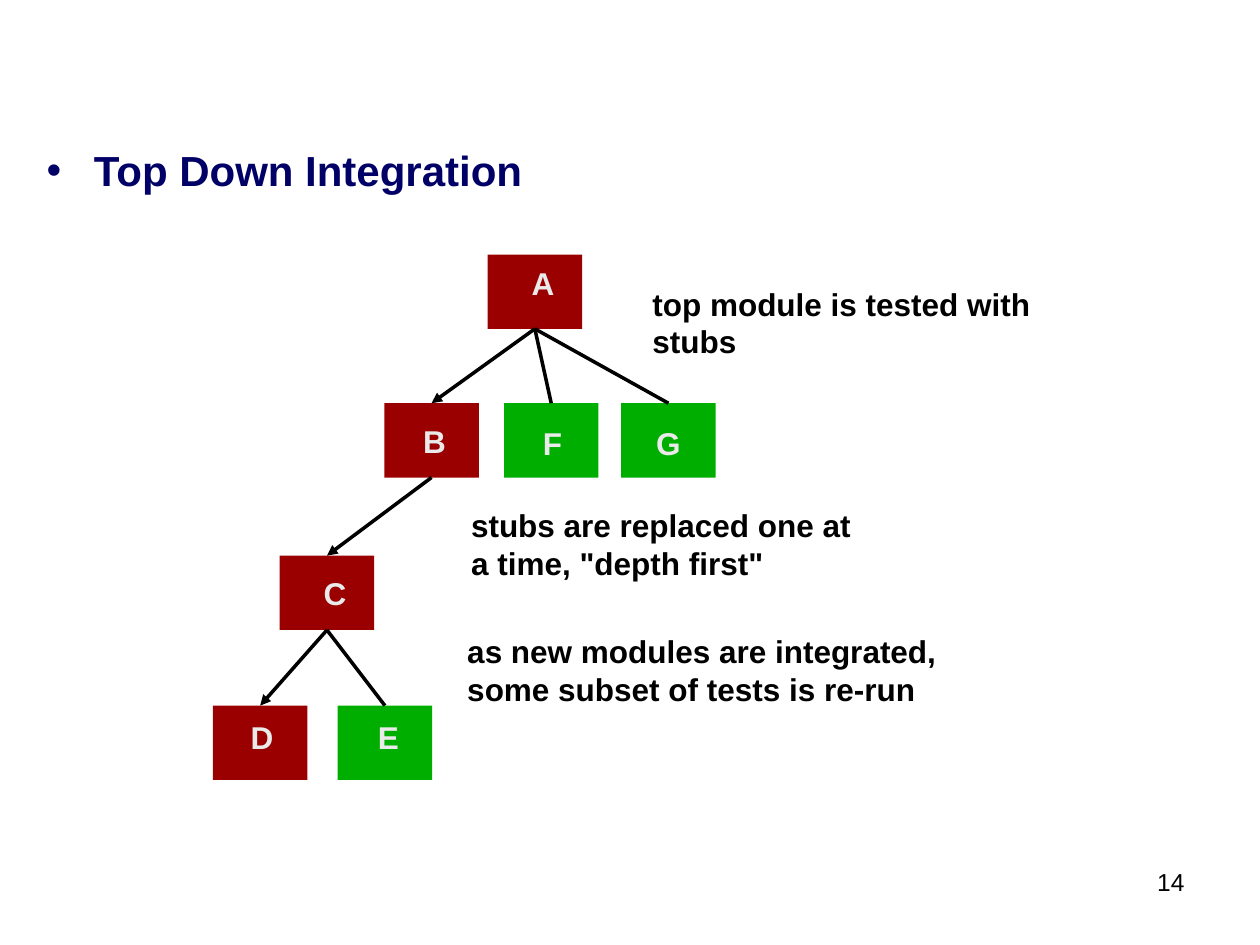
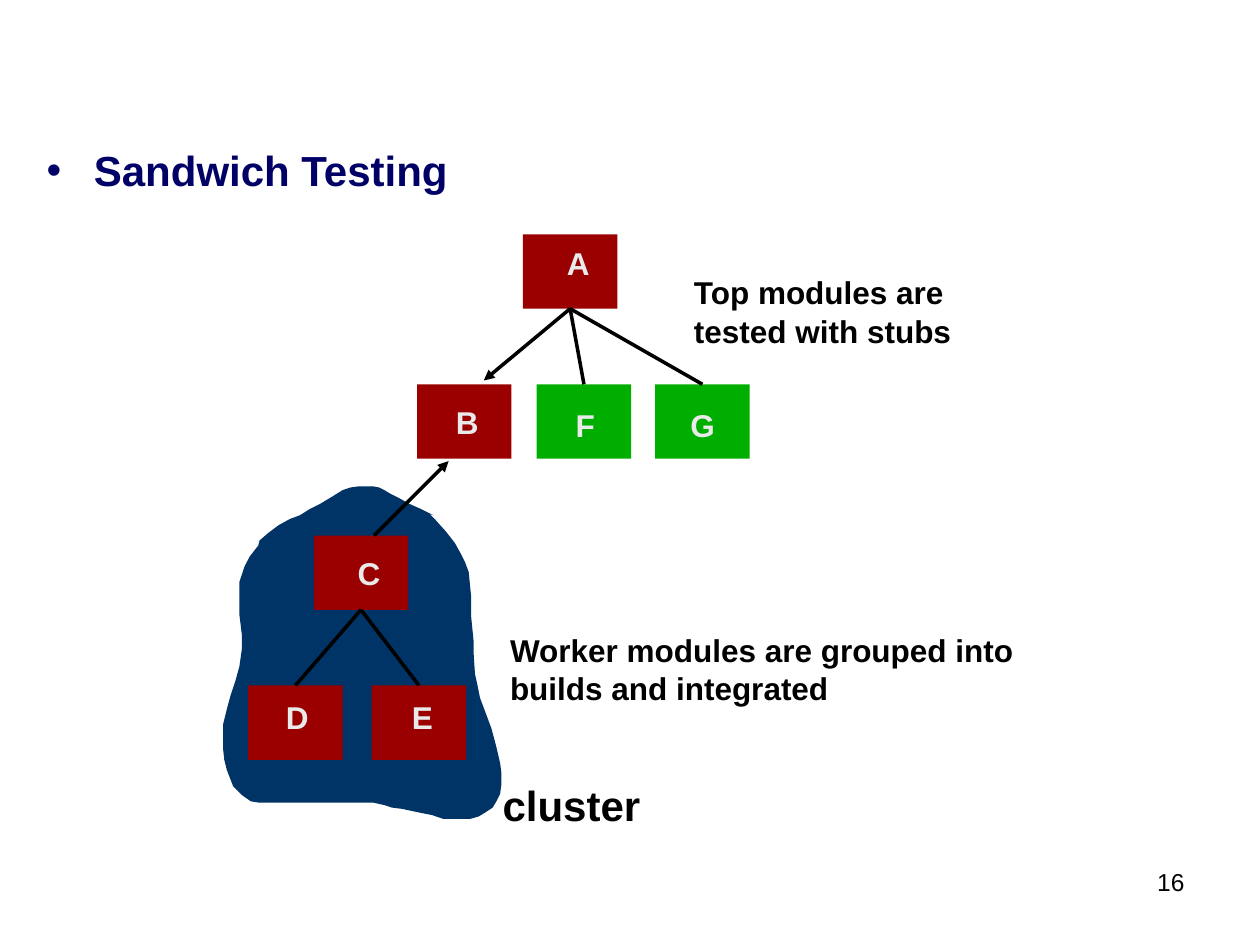
from lxml.etree import SubElement
from pptx import Presentation
from pptx.dml.color import RGBColor
from pptx.enum.shapes import MSO_CONNECTOR, MSO_SHAPE
from pptx.enum.text import MSO_ANCHOR, MSO_AUTO_SIZE, PP_ALIGN
from pptx.oxml.ns import qn
from pptx.util import Inches, Pt

NAVY, RED, GREEN = "000066", "9A0000", "00AE00"
BLACK, PALE, CLUSTER_BLUE = "000000", "EAEAEA", "003366"
MODULE_WIDTH, MODULE_HEIGHT = 0.75, 0.59
LABEL_HEIGHT = 0.4

LABELS = {
    "A": (0.25, 0.03, 0.38),
    "B": (0.21, 0.1, 0.38),
    "C": (0.25, 0.1, 0.38),
    "D": (0.2, 0.05, 0.38),
    "E": (0.22, 0.05, 0.36),
    "F": (0.21, 0.12, 0.35),
    "G": (0.18, 0.12, 0.39),
}

CLUSTER_OUTLINE = [
    (344, 409), (334, 404), (325, 400), (316, 395), (310, 392), (305, 389),
    (301, 387), (296, 386), (285, 386), (278, 387), (272, 389), (264, 394),
    (254, 400), (246, 404), (238, 409), (230, 412), (221, 417), (213, 423),
    (206, 429), (205, 433), (198, 442), (194, 450), (192, 456), (190, 462),
    (190, 488), (192, 504), (192, 515), (190, 529), (187, 540), (183, 552),
    (180, 563), (177, 575), (177, 594), (178, 603), (180, 611), (185, 624),
    (192, 631), (199, 636), (205, 637), (296, 637), (305, 639), (311, 641),
    (319, 642), (333, 645), (343, 647), (352, 650), (373, 650), (380, 648),
    (385, 645), (391, 641), (394, 636), (397, 630), (398, 622), (398, 614),
    (397, 606), (394, 593), (390, 578), (384, 562), (381, 554), (379, 544),
    (377, 535), (376, 520), (376, 510), (374, 490), (374, 474), (372, 454),
    (369, 446), (366, 440), (361, 431), (354, 422), (345, 412), (341, 408),
]

PAGES = [
    {
        "number": "14",
        "heading": "Top Down Integration",
        "heading_height": 0.95,
        "modules": {
            "A": (3.87, 2.02, RED), "B": (3.05, 3.2, RED),
            "C": (2.22, 4.41, RED), "D": (1.69, 5.6, RED),
            "E": (2.68, 5.6, GREEN), "F": (4, 3.2, GREEN),
            "G": (4.93, 3.2, GREEN),
        },
        "links": [
            ("C", "E", False), ("A", "F", False), ("A", "G", False),
            ("A", "B", True), ("B", "C", True), ("C", "D", True),
        ],
        "notes": [
            ("top module is tested with\vstubs", (5.08, 2.21, 3.27, 0.69), {}),
            ('stubs are replaced one at\va time, "depth first"', (3.64, 3.97, 3.28, 0.69), {}),
            ("as new modules are integrated,\vsome subset of tests is re-run",
             (3.61, 4.97, 3.99, 0.69), {}),
        ],
    },
    {
        "number": "16",
        "heading": "Sandwich Testing",
        "heading_height": 0.79,
        "outline": CLUSTER_OUTLINE,
        "modules": {
            "A": (4.15, 1.86, RED), "B": (3.31, 3.05, RED),
            "C": (2.49, 4.25, RED), "D": (1.97, 5.44, RED),
            "E": (2.95, 5.44, RED), "F": (4.26, 3.05, GREEN),
            "G": (5.2, 3.05, GREEN),
        },
        "links": [
            ("C", "D", False), ("C", "E", False), ("A", "F", False),
            ("A", "G", False), ("A", (3.84, 3.02), True),
            ((2.97, 4.25), (3.56, 3.66), True),
        ],
        "notes": [
            ("Top modules are\vtested with stubs", (5.41, 2.1, 2.24, 0.7), {"spacing": 1.05}),
            ("Worker modules are grouped into\vbuilds and integrated",
             (3.95, 4.96, 4.27, 0.69), {}),
            ("cluster", (3.89, 6.14, 1.29, 0.5), {"size": 24}),
        ],
    },
]


def write(box, text, size=18, color=BLACK, bold=True, align=PP_ALIGN.LEFT, spacing=1.0, wrap=False):
    frame = box.text_frame
    frame.word_wrap = wrap
    frame.auto_size = MSO_AUTO_SIZE.NONE if wrap else MSO_AUTO_SIZE.SHAPE_TO_FIT_TEXT
    frame.vertical_anchor = MSO_ANCHOR.TOP
    para = frame.paragraphs[0]
    para.text = text
    para.alignment = align
    para.line_spacing = spacing
    para.space_before = Pt(0)
    for span in para.runs:
        span.font.name = "Arial"
        span.font.size = Pt(size)
        span.font.bold = bold
        span.font.color.rgb = RGBColor.from_string(color)


def paint(shape, color):
    shape.fill.solid()
    shape.fill.fore_color.rgb = RGBColor.from_string(color)
    shape.line.fill.background()
    shape.shadow.inherit = False


deck = Presentation()
deck.slide_width, deck.slide_height = Inches(10), Inches(7.5)

for content in PAGES:
    page = deck.slides.add_slide(deck.slide_layouts[1])
    title = page.shapes.title.element
    title.getparent().remove(title)

    heading = page.placeholders[1]
    heading.left, heading.top = Inches(0.27), Inches(1.07)
    heading.width, heading.height = Inches(9), Inches(content["heading_height"])
    write(heading, content["heading"], size=24, color=NAVY, wrap=True)
    heading.text_frame.margin_top = Inches(0.08)

    number = page.shapes.add_textbox(Inches(7.44), Inches(6.83), Inches(2.06), Inches(0.52))
    write(number, content["number"], size=14, bold=False, align=PP_ALIGN.RIGHT, wrap=True)

    if "outline" in content:
        start, *others = content["outline"]
        builder = page.shapes.build_freeform(*start, scale=Inches(0.01))
        builder.add_line_segments(others, close=True)
        paint(builder.convert_to_shape(), CLUSTER_BLUE)

    modules = {}
    for name, (left, top, color) in content["modules"].items():
        module = page.shapes.add_shape(
            MSO_SHAPE.RECTANGLE, Inches(left), Inches(top),
            Inches(MODULE_WIDTH), Inches(MODULE_HEIGHT))
        paint(module, color)
        modules[name] = module

    for start, end, arrow in content["links"]:
        link = page.shapes.add_connector(MSO_CONNECTOR.STRAIGHT, 0, 0, 0, 0)
        if start in modules:
            link.begin_connect(modules[start], 2)
        else:
            link.begin_x, link.begin_y = Inches(start[0]), Inches(start[1])
        if end in modules:
            link.end_connect(modules[end], 0)
        else:
            link.end_x, link.end_y = Inches(end[0]), Inches(end[1])
        link.line.color.rgb = RGBColor.from_string(BLACK)
        link.line.width = Pt(2)
        properties = link.element.spPr
        if arrow:
            SubElement(properties.find(qn("a:ln")), qn("a:tailEnd"), type="triangle")
        SubElement(properties, qn("a:effectLst"))

    for text, place, style in content["notes"]:
        note = page.shapes.add_textbox(*map(Inches, place))
        write(note, text, **style)

    for name, (left, top, color) in content["modules"].items():
        shift_x, shift_y, width = LABELS[name]
        label = page.shapes.add_textbox(
            Inches(left + shift_x), Inches(top + shift_y), Inches(width), Inches(LABEL_HEIGHT))
        write(label, name, color=PALE)

deck.save("out.pptx")
